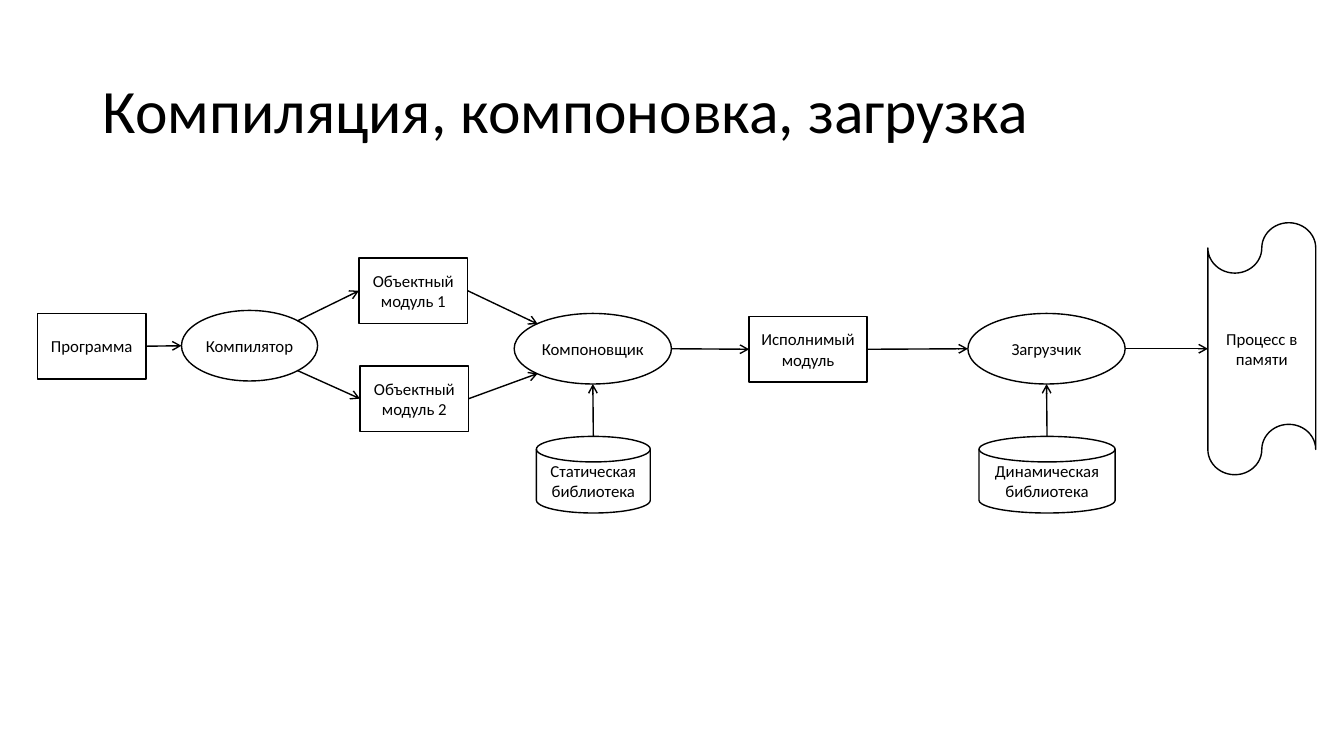
from lxml import etree
from pptx import Presentation
from pptx.dml.color import RGBColor
from pptx.enum import shapes, text
from pptx.oxml import ns
from pptx.util import Inches, Pt

COLORS = {"ink": "000000", "paper": "FFFFFF"}
FONT = "Calibri"
KINDS = shapes.MSO_SHAPE
BOX = KINDS.RECTANGLE
OVAL = KINDS.OVAL
DISK = KINDS.FLOWCHART_MAGNETIC_DISK
TAPE = KINDS.FLOWCHART_PUNCHED_TAPE

NODES = {
    "source": (BOX, 0.37, 3.11, 1.08, 0.65, "Программа"),
    "compiler": (OVAL, 1.8, 3.08, 1.35, 0.7, "Компилятор"),
    "first": (BOX, 3.56, 2.56, 1.08, 0.65, "Объектный модуль 1"),
    "second": (BOX, 3.57, 3.63, 1.08, 0.65, "Объектный модуль 2"),
    "linker": (OVAL, 5.1, 3.11, 1.56, 0.7, "Компоновщик"),
    "static": (DISK, 5.32, 4.33, 1.13, 0.76, "Статическая библиотека"),
    "program": (BOX, 7.43, 3.14, 1.17, 0.65, "Исполнимый модуль"),
    "loader": (OVAL, 9.6, 3.11, 1.56, 0.7, "Загрузчик"),
    "process": (TAPE, 11.98, 2.21, 1.07, 2.5, "Процесс в памяти"),
    "dynamic": (DISK, 9.71, 4.33, 1.35, 0.76, "Динамическая библиотека"),
}

SITES = {
    "left": (0, 0.5), "right": (1, 0.5), "top": (0.5, 0), "bottom": (0.5, 1),
    "upper left": (0.15, 0.15), "lower left": (0.15, 0.85),
    "upper right": (0.85, 0.15), "lower right": (0.85, 0.85),
}

LINKS = [
    ("source", "right", "compiler", "left"),
    ("compiler", "upper right", "first", "left"),
    ("compiler", "lower right", "second", "left"),
    ("first", "right", "linker", "upper left"),
    ("second", "right", "linker", "lower left"),
    ("static", "top", "linker", "bottom"),
    ("linker", "right", "program", "left"),
    ("program", "right", "loader", "left"),
    ("loader", "right", "process", "left"),
    ("dynamic", "top", "loader", "bottom"),
]


def color(name):
    return RGBColor.from_string(COLORS[name])


def write(frame, words, size, align):
    frame.word_wrap = True
    frame.vertical_anchor = text.MSO_ANCHOR.MIDDLE
    para = frame.paragraphs[0]
    para.alignment = align
    run = para.add_run()
    run.text = words
    run.font.name = FONT
    run.font.size = Pt(size)
    run.font.color.rgb = color("ink")
    return para


def add_title(slide, words):
    box = slide.shapes.add_textbox(
        Inches(0.92), Inches(0.4), Inches(11.5), Inches(1.45))
    para = write(box.text_frame, words, 44, text.PP_ALIGN.LEFT)
    para.line_spacing = 0.9


def add_node(slide, kind, left, top, width, height, words):
    node = slide.shapes.add_shape(
        kind, Inches(left), Inches(top), Inches(width), Inches(height))
    node.shadow.inherit = False
    node.fill.solid()
    node.fill.fore_color.rgb = color("paper")
    node.line.color.rgb = color("ink")
    node.line.width = Pt(1)
    frame = node.text_frame
    if kind == OVAL:
        frame.margin_left = frame.margin_right = Inches(0.04)
    write(frame, words, 12, text.PP_ALIGN.CENTER)
    return node


def find_site(node, side):
    across, down = SITES[side]
    return (round(node.left + across * node.width),
            round(node.top + down * node.height))


def add_arrow(slide, start, end):
    arrow = slide.shapes.add_connector(
        shapes.MSO_CONNECTOR.STRAIGHT, *start, *end)
    arrow.line.color.rgb = color("ink")
    arrow.line.width = Pt(1)
    line = arrow.line._get_or_add_ln()
    etree.SubElement(line, ns.qn("a:tailEnd"), type="arrow")
    etree.SubElement(arrow._element.spPr, ns.qn("a:effectLst"))


def main():
    deck = Presentation()
    deck.slide_width = Inches(13.33)
    deck.slide_height = Inches(7.5)
    slide = deck.slides.add_slide(deck.slide_layouts[6])
    add_title(slide, "Компиляция, компоновка, загрузка")
    nodes = {name: add_node(slide, *spec) for name, spec in NODES.items()}
    for origin, out, target, into in LINKS:
        add_arrow(slide, find_site(nodes[origin], out),
                  find_site(nodes[target], into))
    deck.save("out.pptx")


if __name__ == "__main__":
    main()
